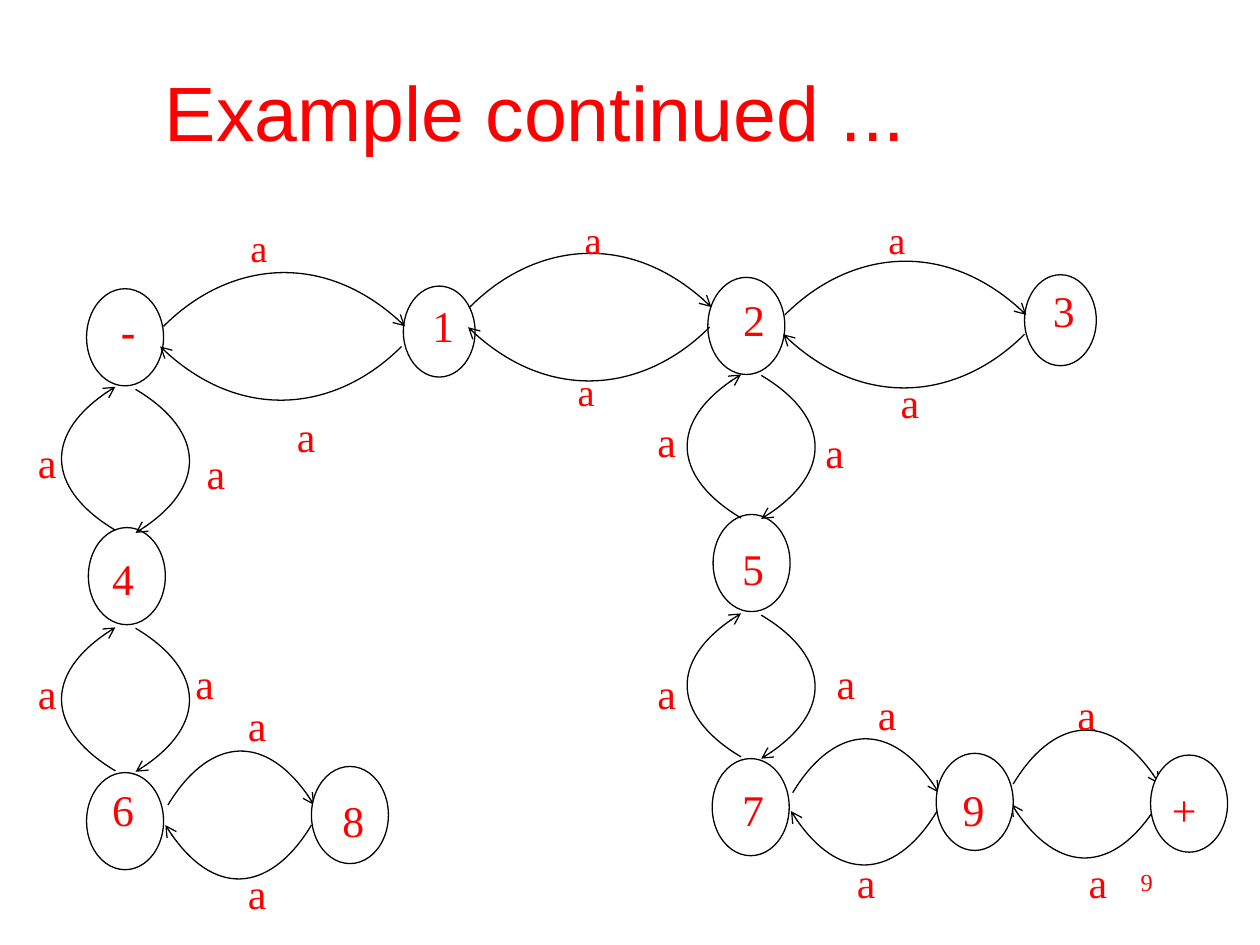
from lxml.etree import SubElement as Sub
from pptx import Presentation
from pptx.dml.color import RGBColor
from pptx.enum.shapes import MSO_SHAPE as Kind
from pptx.enum.text import MSO_ANCHOR as Anchor, PP_ALIGN as Align
from pptx.oxml.ns import qn
from pptx.util import Pt

RED = RGBColor(255, 0, 0)
BLACK = RGBColor(0, 0, 0)
WHITE = RGBColor(255, 255, 255)
SERIF = "Times New Roman"

TITLE = "Example continued ..."
BIG, SMALL = (44, 55.5), (41, 52)
BACK = [
    (230.5, 163.5, SMALL), (49.5, 165, BIG), (585.5, 157, SMALL),
    (404.5, 158.5, BIG), (49.5, 441.5, BIG), (50.5, 301.5, BIG),
    (407, 433.5, BIG), (407.5, 294, BIG),
]
FRONT = [(178, 438, BIG), (535, 430.5, BIG), (657.5, 431.5, BIG)]
NAMES = [
    ("-", 62, 170), ("1", 240, 167), ("2", 417.5, 163.5), ("3", 594.5, 158.5),
    ("4", 57, 312), ("5", 417, 306), ("6", 57, 444), ("7", 417, 444),
    ("8", 188.5, 450), ("9", 543, 444), ("+", 662.5, 444),
]
ARCS = {
    (138, 0): [(93.5, 186.5), (268.5, 175.5), (448.5, 180)],
    (-138, 0): [(229.5, 198), (405.5, 187), (585.5, 191)],
    (0, -82): [(66, 303), (66, 440.5), (423.5, 296), (423.5, 432.5)],
    (0, 82): [(77.5, 222.5), (77.5, 359), (435, 214.5), (435, 351.5)],
    (83.5, 0): [(96, 460), (453, 453), (579, 448)],
    (-83.5, 0): [(178, 471.5), (535.5, 463.5), (661.5, 459.5)],
}
BENDS = [(0.26, 36), (0.67, 44.5), (1, 0)]
LABELS = {
    22: [(136, 124.5), (327, 120), (500.5, 120), (323, 206.5)],
    24: [
        (162.5, 231), (507.5, 211.5), (14.5, 246), (111, 252),
        (14.5, 378), (104.5, 372), (134.5, 396), (134.5, 492),
        (368.5, 234), (464.5, 240), (368.5, 378), (471, 372),
        (494.5, 390), (482.5, 486), (608.5, 390), (615, 486),
    ],
}

deck = Presentation()
deck.slide_width, deck.slide_height = Pt(720), Pt(540)
slide = deck.slides.add_slide(deck.slide_layouts[5])
shapes = slide.shapes


def write(frame, text, size, face=SERIF, align=Align.LEFT, bold=False):
    para = frame.paragraphs[0]
    para.alignment = align
    run = para.add_run()
    run.text = text
    font = run.font
    font.name, font.size, font.bold = face, Pt(size), bold
    font.color.rgb = RED


def label(text, x, y, size, wide=26, high=31.5, **style):
    frame = shapes.add_textbox(Pt(x), Pt(y), Pt(wide), Pt(high)).text_frame
    frame.word_wrap = False
    write(frame, text, size, **style)


def ink(shape):
    shape.shadow.inherit = False
    shape.line.color.rgb = BLACK
    shape.line.width = Pt(0.75)


def circle(x, y, size):
    wide, high = size
    node = shapes.add_shape(Kind.OVAL, Pt(x), Pt(y), Pt(wide), Pt(high))
    node.fill.solid()
    node.fill.fore_color.rgb = WHITE
    ink(node)


def arc(x, y, dx, dy):
    span = abs(dx + dy)
    points = [
        (Pt(x + dx * along + dy / span * bend), Pt(y + dy * along - dx / span * bend))
        for along, bend in BENDS
    ]
    pen = shapes.build_freeform(Pt(x), Pt(y))
    pen.add_line_segments(points, close=False)
    shape = pen.convert_to_shape()
    shape.fill.background()
    ink(shape)
    lines = list(shape._element.iter(qn("a:lnTo")))
    curve = Sub(lines[0].getparent(), qn("a:cubicBezTo"))
    for line in lines:
        curve.append(line[0])
        line.getparent().remove(line)
    Sub(shape.line._get_or_add_ln(), qn("a:tailEnd"), type="arrow")


title = shapes.title
title.left, title.top, title.width, title.height = Pt(0), Pt(18), Pt(612), Pt(90)
title.text_frame.vertical_anchor = Anchor.MIDDLE
write(title.text_frame, TITLE, 44, face="Arial", align=Align.CENTER)

for node in BACK:
    circle(*node)
for step, starts in ARCS.items():
    for start in starts:
        arc(*start, *step)
for node in FRONT:
    circle(*node)
for text, x, y in NAMES:
    label(text, x, y, 25, bold=text == "-")
for size, spots in LABELS.items():
    for x, y in spots:
        label("a", x, y, size)
label("9", 516, 492, 14, wide=150, high=36, align=Align.RIGHT)

deck.save("out.pptx")
